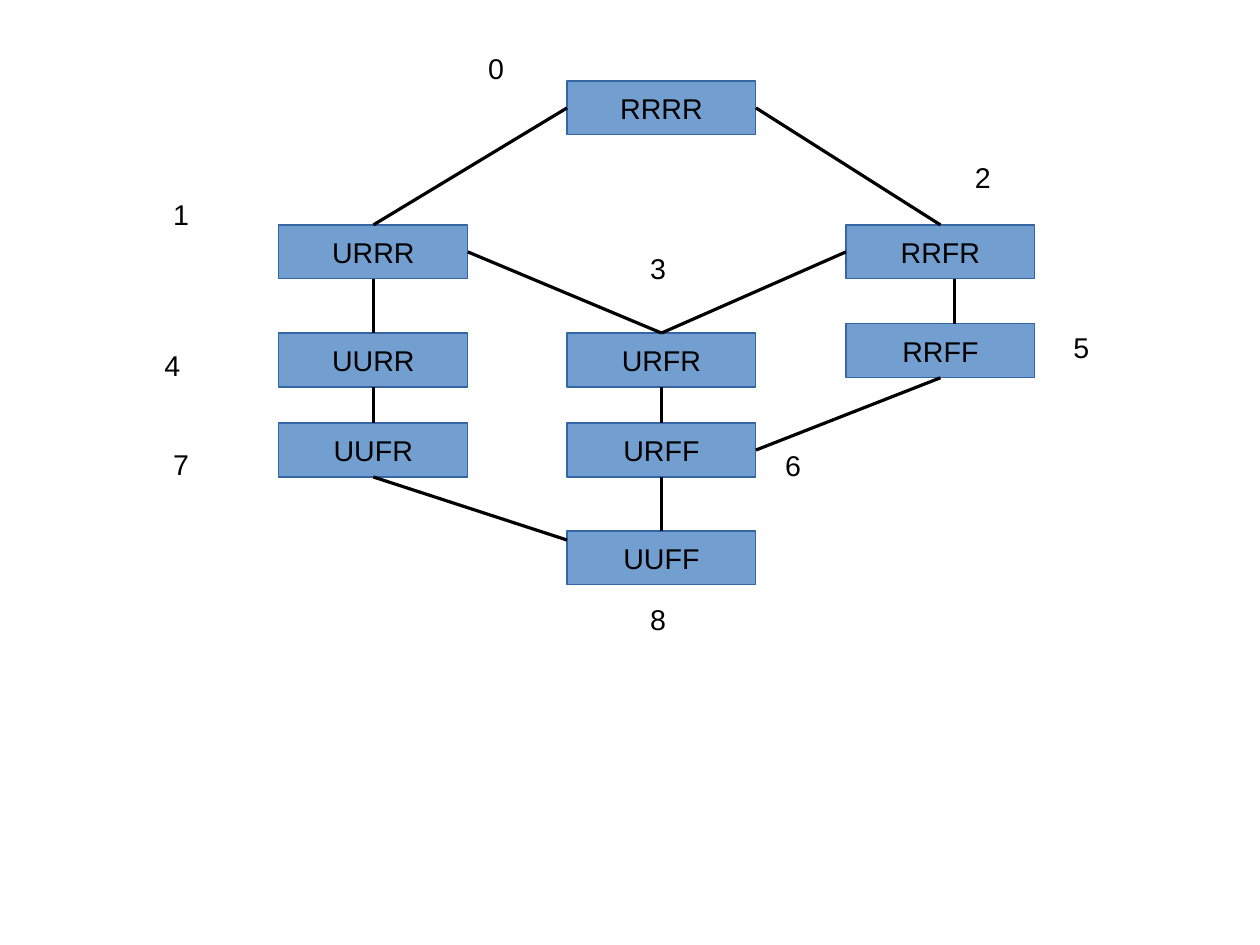
"""Build a one-slide graph of nine states, their numbers and their links."""
from dataclasses import dataclass

from lxml import etree
from pptx import Presentation
from pptx.dml.color import RGBColor
from pptx.enum.shapes import MSO_CONNECTOR, MSO_SHAPE
from pptx.enum.text import MSO_ANCHOR, MSO_AUTO_SIZE, PP_ALIGN
from pptx.oxml.ns import qn
from pptx.util import Pt

RECTANGLE = MSO_SHAPE.RECTANGLE
STRAIGHT = MSO_CONNECTOR.STRAIGHT
MIDDLE = MSO_ANCHOR.MIDDLE
CENTER = PP_ALIGN.CENTER
LEFT_ALIGNED = PP_ALIGN.LEFT
GROW = MSO_AUTO_SIZE.SHAPE_TO_FIT_TEXT
TOP, LEFT, BOTTOM, RIGHT = range(4)


@dataclass
class Theme:
    """Colours, font and sizes used on the slide."""
    fill: RGBColor = RGBColor(0x72, 0x9F, 0xCF)
    border: RGBColor = RGBColor(0x34, 0x65, 0xA4)
    ink: RGBColor = RGBColor(0, 0, 0)
    font: str = "Arial"
    size: Pt = Pt(18)
    hairline: Pt = Pt(0)


theme = Theme()


def write(shape, text, alignment):
    """Put one formatted run into a shape."""
    para = shape.text_frame.paragraphs[0]
    para.alignment = alignment
    span = para.add_run()
    span.text = text
    span.font.name = theme.font
    span.font.size = theme.size
    span.font.color.rgb = theme.ink


def add_line(x1, y1, x2, y2):
    """Draw a thin straight connector without a shadow."""
    line = page.shapes.add_connector(STRAIGHT, Pt(x1), Pt(y1), Pt(x2), Pt(y2))
    line.line.color.rgb = theme.ink
    line.line.width = theme.hairline
    etree.SubElement(line._element.spPr, qn("a:effectLst"))
    return line


deck = Presentation()
deck.slide_width, deck.slide_height = Pt(793.7), Pt(595.3)
page = deck.slides.add_slide(deck.slide_layouts[6])

BOX_WIDTH, BOX_HEIGHT = 119, 34
LEFT_COLUMN, MIDDLE_COLUMN, RIGHT_COLUMN = 175.7, 357.2, 532.9
states = {
    "RRRR": (MIDDLE_COLUMN, 51),
    "URRR": (LEFT_COLUMN, 141.7),
    "UURR": (LEFT_COLUMN, 209.8),
    "URFR": (MIDDLE_COLUMN, 209.8),
    "UUFR": (LEFT_COLUMN, 266.5),
    "UUFF": (MIDDLE_COLUMN, 334.5),
    "RRFR": (RIGHT_COLUMN, 141.7),
    "RRFF": (RIGHT_COLUMN, 204),
    "URFF": (MIDDLE_COLUMN, 266.5),
}
boxes = {}
for name, (x, y) in states.items():
    box = page.shapes.add_shape(RECTANGLE, Pt(x), Pt(y), Pt(BOX_WIDTH), Pt(BOX_HEIGHT))
    box.shadow.inherit = False
    box.fill.solid()
    box.fill.fore_color.rgb = theme.fill
    box.line.color.rgb = theme.border
    box.line.width = theme.hairline
    box.text_frame.word_wrap = False
    box.text_frame.vertical_anchor = MIDDLE
    write(box, name, CENTER)
    boxes[name] = box

links = [
    ("RRRR", LEFT, "URRR", TOP),
    ("RRRR", RIGHT, "RRFR", TOP),
    ("URRR", BOTTOM, "UURR", TOP),
    ("URRR", RIGHT, "URFR", TOP),
    ("RRFR", LEFT, "URFR", TOP),
    ("URFR", BOTTOM, "URFF", TOP),
    ("RRFF", BOTTOM, "URFF", RIGHT),
    ("URFF", BOTTOM, "UUFF", TOP),
    ("UURR", BOTTOM, "UUFR", TOP),
]
for start, start_side, end, end_side in links:
    link = add_line(0, 0, 0, 0)
    link.begin_connect(boxes[start], start_side)
    link.end_connect(boxes[end], end_side)

add_line(601.2, 175.7, 601.2, 204)
corner_link = add_line(232.5, 300.5, MIDDLE_COLUMN, 340.2)
corner_link.begin_connect(boxes["UUFR"], BOTTOM)

number_places = [
    (300.5, 28.3), (102, 120.5), (607, 97.5),
    (402.5, 154.3), (96.4, 215.6), (669, 204),
    (487.5, 278.7), (102, 278), (402.5, 375.4),
]
for number, (x, y) in enumerate(number_places):
    label = page.shapes.add_textbox(Pt(x), Pt(y), Pt(28.3), Pt(27.4))
    label.text_frame.word_wrap = True
    label.text_frame.auto_size = GROW
    write(label, str(number), LEFT_ALIGNED)

deck.save("out.pptx")
